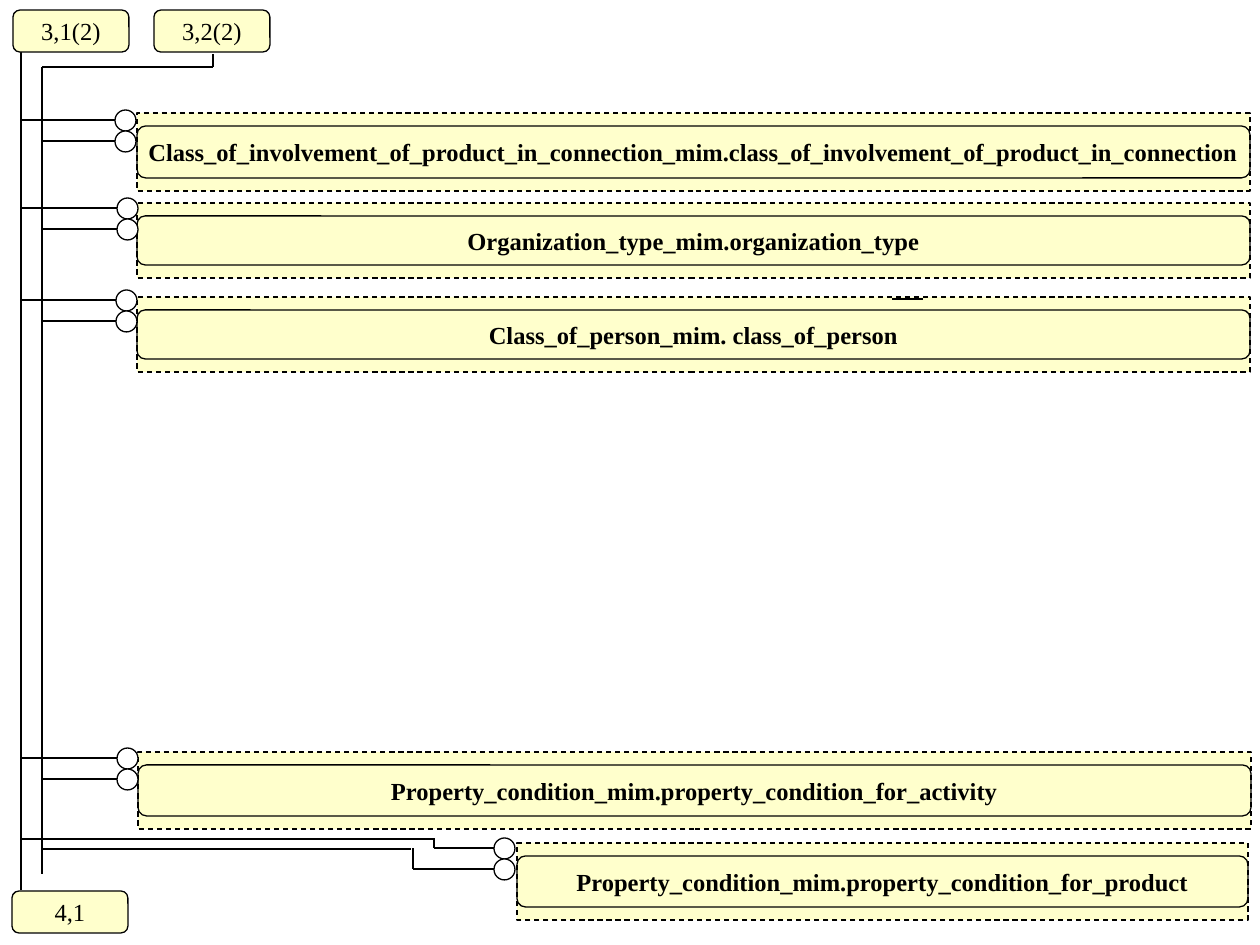
"""Builds an EXPRESS-G page: entity boxes wired to page references by two trunk lines."""
from dataclasses import dataclass

from lxml import etree
from pptx import Presentation
from pptx import util as u
from pptx.dml.color import RGBColor
from pptx.enum import dml, shapes, text
from pptx.oxml.ns import qn

EMU_PER_PX = 914400 / 126


@dataclass(frozen=True)
class Theme:
    ink: RGBColor = RGBColor(0, 0, 0)
    box: RGBColor = RGBColor(0xFF, 0xFF, 0xCC)
    pin: RGBColor = RGBColor(0xFF, 0xFF, 0xFF)
    font: str = "Times New Roman"
    size: int = 14
    line: float = 0.75
    corner: float = 0.167


@dataclass(frozen=True)
class Entity:
    name: str
    left: int
    top: int
    width: int
    height: int
    pin_left: int
    pin_top: int
    wire_starts: tuple[int, int] = (21, 42)


@dataclass(frozen=True)
class PageRef:
    label: str
    left: int
    top: int


@dataclass(frozen=True)
class Wire:
    x1: int
    y1: int
    x2: int
    y2: int


THEME = Theme()
PIN = 21
INSET = 13
REF_WIDTH, REF_HEIGHT = 116, 42

ENTITIES = [
    Entity("Class_of_involvement_of_product_in_connection_mim.class_of_involvement_of_product_in_connection",
           137, 113, 1113, 78, 115, 110),
    Entity("Organization_type_mim.organization_type", 137, 203, 1113, 75, 117, 198),
    Entity("Class_of_person_mim. class_of_person", 137, 297, 1113, 75, 116, 290),
    Entity("Property_condition_mim.property_condition_for_activity", 138, 752, 1113, 77, 117, 748),
    Entity("Property_condition_mim.property_condition_for_product", 517, 843, 731, 77, 494, 838, (434, 413)),
]
PAGE_REFS = [PageRef("4,1", 12, 891), PageRef("3,2(2)", 154, 10), PageRef("3,1(2)", 13, 10)]
WIRES = [
    Wire(21, 890, 21, 52),
    Wire(42, 874, 42, 67),
    Wire(213, 54, 213, 67),
    Wire(213, 67, 42, 67),
    Wire(923, 299, 892, 299),
    Wire(21, 839, 434, 839),
    Wire(434, 848, 434, 838),
    Wire(42, 849, 411, 849),
    Wire(413, 869, 413, 848),
]


def px(n: int) -> u.Emu:
    return u.Emu(round(n * EMU_PER_PX))


def add_box(parent, kind, left: int, top: int, width: int, height: int, fill=None, dashed: bool = False):
    sp = parent.add_shape(kind, px(left), px(top), px(width), px(height))
    sp.shadow.inherit = False
    if fill is None:
        sp.fill.background()
    else:
        sp.fill.solid()
        sp.fill.fore_color.rgb = fill
    sp.line.color.rgb = THEME.ink
    sp.line.width = u.Pt(THEME.line)
    if dashed:
        sp.line.dash_style = dml.MSO_LINE.DASH
    if kind == shapes.MSO_SHAPE.ROUNDED_RECTANGLE:
        sp.adjustments[0] = THEME.corner
    return sp


def add_text(sp, content: str, *, bold: bool = False) -> None:
    tf = sp.text_frame
    tf.word_wrap = False
    tf.vertical_anchor = text.MSO_ANCHOR.MIDDLE
    p = tf.paragraphs[0]
    p.alignment = text.PP_ALIGN.CENTER
    r = p.add_run()
    r.text = content
    r.font.name = THEME.font
    r.font.size = u.Pt(THEME.size)
    r.font.bold = bold
    r.font.color.rgb = THEME.ink


def add_wire(s, wire: Wire) -> None:
    c = s.shapes.add_connector(shapes.MSO_CONNECTOR.STRAIGHT,
                               px(wire.x1), px(wire.y1), px(wire.x2), px(wire.y2))
    c.line.color.rgb = THEME.ink
    c.line.width = u.Pt(THEME.line)
    etree.SubElement(c._element.spPr, qn("a:effectLst"))


def add_entity(s, e: Entity) -> None:
    group = s.shapes.add_group_shape().shapes
    frame = add_box(group, shapes.MSO_SHAPE.RECTANGLE, e.left, e.top, e.width, e.height,
                    THEME.box, dashed=True)
    add_text(frame, e.name, bold=True)
    add_box(group, shapes.MSO_SHAPE.ROUNDED_RECTANGLE, e.left, e.top + INSET,
            e.width, e.height - 2 * INSET)
    for i, start in enumerate(e.wire_starts):
        top = e.pin_top + i * PIN
        middle = top + PIN // 2
        add_box(s.shapes, shapes.MSO_SHAPE.OVAL, e.pin_left, top, PIN, PIN, THEME.pin)
        add_wire(s, Wire(e.pin_left, middle, start, middle))


def add_page_ref(s, ref: PageRef) -> None:
    sp = add_box(s.shapes, shapes.MSO_SHAPE.ROUNDED_RECTANGLE, ref.left, ref.top,
                 REF_WIDTH, REF_HEIGHT, THEME.box)
    add_text(sp, ref.label)


def main() -> None:
    prs = Presentation()
    prs.slide_width, prs.slide_height = px(1260), px(945)
    s = prs.slides.add_slide(prs.slide_layouts[6])
    for entity in ENTITIES:
        add_entity(s, entity)
    for wire in WIRES:
        add_wire(s, wire)
    for ref in PAGE_REFS:
        add_page_ref(s, ref)
    prs.save("out.pptx")


if __name__ == "__main__":
    main()
